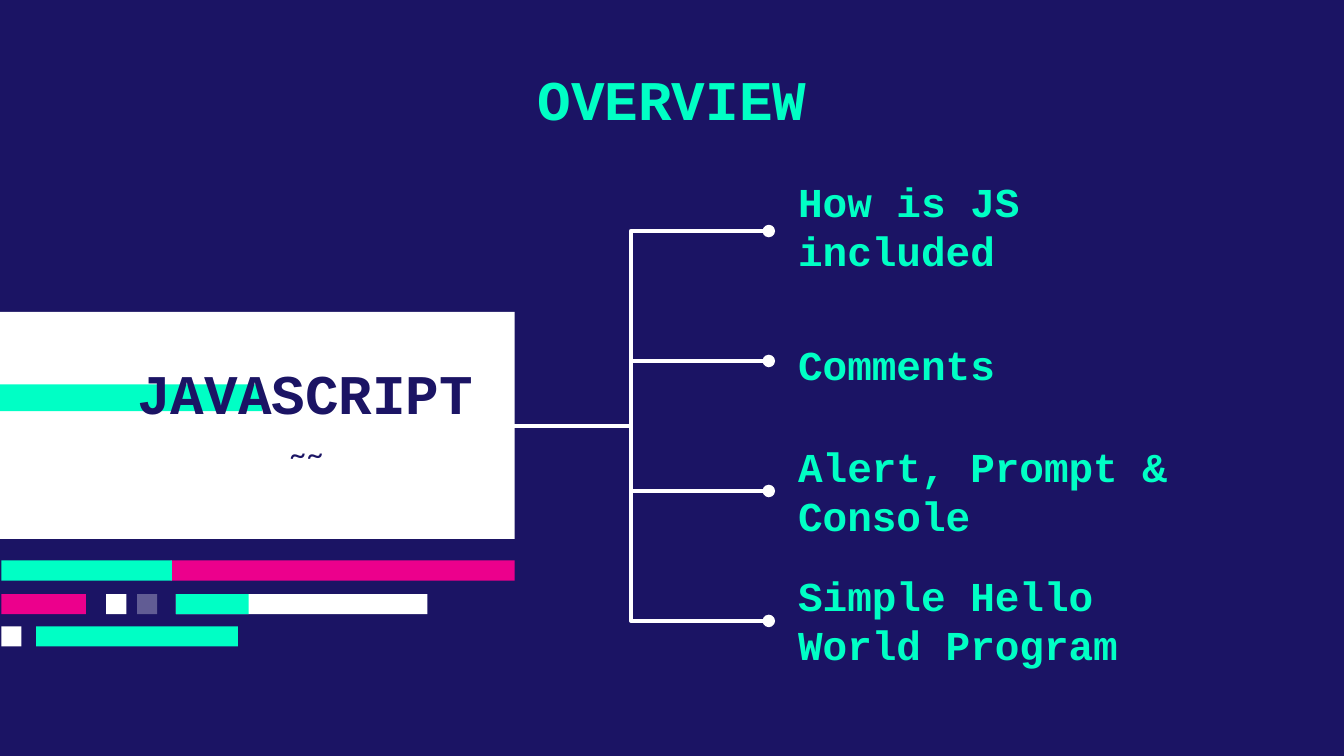
from lxml import etree
from pptx import Presentation
from pptx.dml.color import RGBColor
from pptx.enum.shapes import MSO_CONNECTOR, MSO_SHAPE
from pptx.enum.text import MSO_ANCHOR, PP_ALIGN
from pptx.oxml.ns import qn
from pptx.util import Inches, Pt

RECTANGLE = MSO_SHAPE.RECTANGLE
ELBOW = MSO_CONNECTOR.ELBOW
TOP, MIDDLE = MSO_ANCHOR.TOP, MSO_ANCHOR.MIDDLE
LEFT, CENTER, RIGHT = PP_ALIGN.LEFT, PP_ALIGN.CENTER, PP_ALIGN.RIGHT

NAVY, MINT, PINK, WHITE = "1B1464", "00FFC5", "EC008C", "FFFFFF"
HEADING = {"name": "Courier New", "size": Pt(30), "bold": True}
TOPIC = {"name": "Courier New", "size": Pt(22), "bold": True}
BODY = {"name": "Lato", "size": Pt(16), "bold": False}

BAR_HEIGHT = 0.15
BAR_ROWS = [
    (4.17, [(1.27, 2.56, PINK, 100), (0.01, 1.27, MINT, 100)]),
    (4.42, [(1.31, 1.87, WHITE, 100), (1.31, 0.54, MINT, 100),
            (0.01, 0.63, PINK, 100), (1.02, 0.15, WHITE, 31),
            (0.79, 0.15, WHITE, 100)]),
    (4.66, [(0.01, 0.15, WHITE, 100), (0.27, 1.5, MINT, 100)]),
]
TOPICS = [
    ("How is JS included", 1.53, 2.95),
    ("Comments", 2.56, 2.95),
    ("Alert, Prompt & Console", 3.5, 3.55),
    ("Simple Hello World Program", 4.46, 2.95),
]
HUB_X, HUB_Y = 3.67, 3.17
BRANCH_X, BRANCH_GAP = 5.72, 0.967


def color(hex_code):
    """Return the RGB colour for a hex string."""
    return RGBColor.from_string(hex_code)


def add_block(slide, left, top, width, height, fill, opacity=100):
    """Add a borderless rectangle with an opacity in percent."""
    block = slide.shapes.add_shape(
        RECTANGLE, Inches(left), Inches(top), Inches(width), Inches(height))
    block.shadow.inherit = False
    block.fill.solid()
    block.fill.fore_color.rgb = color(fill)
    block.line.fill.background()
    if opacity < 100:
        tint = block.fill._xPr.find(".//" + qn("a:srgbClr"))
        etree.SubElement(tint, qn("a:alpha"), val=str(opacity * 1000))


def add_text(slide, wording, left, top, width, height, style, hex_code,
             align=LEFT, anchor=MIDDLE, inset=0):
    """Add a one-paragraph text box and return its paragraph."""
    frame = slide.shapes.add_textbox(
        Inches(left), Inches(top), Inches(width), Inches(height)).text_frame
    layout = {"word_wrap": True, "vertical_anchor": anchor,
              "margin_left": Inches(0.1), "margin_right": Inches(0.1),
              "margin_top": Inches(inset), "margin_bottom": Inches(inset)}
    for attribute, value in layout.items():
        setattr(frame, attribute, value)
    paragraph = frame.paragraphs[0]
    paragraph.alignment = align
    run = paragraph.add_run()
    run.text = wording
    for attribute, value in style.items():
        setattr(run.font, attribute, value)
    run.font.color.rgb = color(hex_code)
    return paragraph


def add_branch(slide, end_y):
    """Add an elbow line from the hub to a round end at one topic."""
    branch = slide.shapes.add_connector(
        ELBOW, Inches(HUB_X), Inches(HUB_Y), Inches(BRANCH_X), Inches(end_y))
    branch.line.color.rgb = color(WHITE)
    branch.line.width = Pt(2.25)
    etree.SubElement(branch.line._get_or_add_ln(), qn("a:tailEnd"), type="oval")
    etree.SubElement(branch._element.spPr, qn("a:effectLst"))


def main():
    """Build the overview slide and save it."""
    deck = Presentation()
    deck.slide_width, deck.slide_height = Inches(10), Inches(5.625)
    slide = deck.slides.add_slide(deck.slide_layouts[6])
    slide.background.fill.solid()
    slide.background.fill.fore_color.rgb = color(NAVY)

    add_block(slide, 0, 2.32, 3.83, 1.69, WHITE)
    add_text(slide, "OVERVIEW", 1.4, 0.38, 7.2, 0.73, HEADING, MINT,
             CENTER, TOP, 0.1)
    subtitle = add_text(slide, "~~", 0.95, 3.2, 2.66, 0.48, BODY, NAVY,
                        CENTER, TOP)
    subtitle.line_spacing = 1.15
    subtitle.space_after = Pt(16)
    for topic, top, width in TOPICS:
        add_text(slide, topic, 5.84, top, width, 0.3, TOPIC, MINT)

    add_block(slide, 0, 2.86, 1.95, 0.2, MINT)
    add_text(slide, "JAVASCRIPT", 0.79, 2.7, 2.83, 0.43, HEADING, NAVY, RIGHT)
    for top, bars in BAR_ROWS:
        for left, width, fill, opacity in bars:
            add_block(slide, left, top, width, BAR_HEIGHT, fill, opacity)
    for index in range(len(TOPICS)):
        offset = index - (len(TOPICS) - 1) / 2
        add_branch(slide, HUB_Y + offset * BRANCH_GAP)

    deck.save("out.pptx")


if __name__ == "__main__":
    main()
